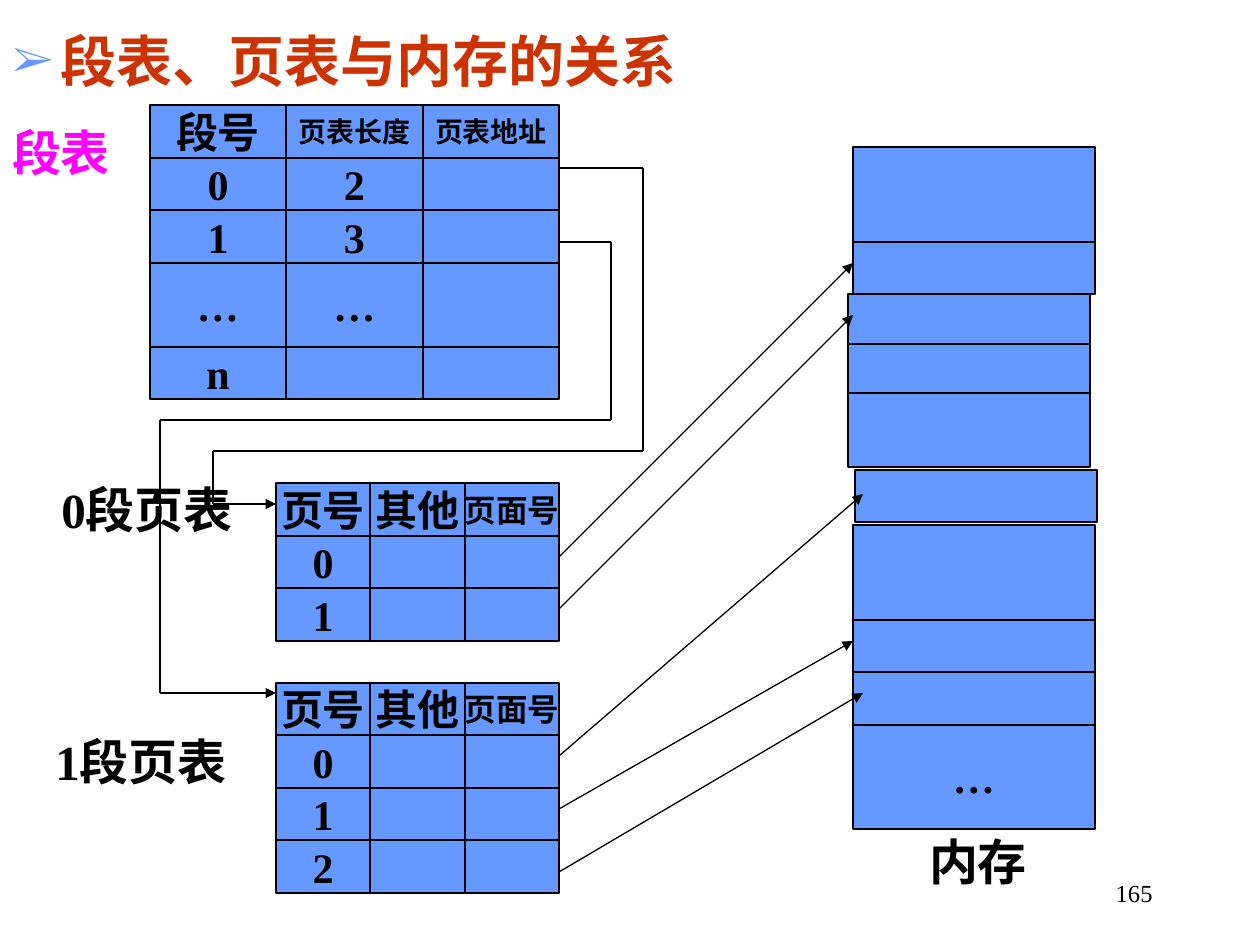
from dataclasses import dataclass
from itertools import accumulate, pairwise

from lxml import etree
from pptx import Presentation
from pptx.dml.color import RGBColor
from pptx.enum.shapes import MSO_CONNECTOR, MSO_SHAPE
from pptx.enum.text import MSO_ANCHOR, PP_ALIGN
from pptx.oxml.ns import qn
from pptx.util import Pt

RECTANGLE = MSO_SHAPE.RECTANGLE
STRAIGHT = MSO_CONNECTOR.STRAIGHT
LEFT, CENTER, RIGHT = PP_ALIGN.LEFT, PP_ALIGN.CENTER, PP_ALIGN.RIGHT
TOP, MIDDLE = MSO_ANCHOR.TOP, MSO_ANCHOR.MIDDLE


@dataclass(frozen=True)
class Theme:
    font: str = "Times New Roman"
    ink: str = "000000"
    cell: str = "6699FF"
    title: str = "CC3300"
    accent: str = "FF00FF"
    title_size: int = 32
    label_size: int = 28
    cell_size: int = 24
    page_frame_size: int = 18
    segment_field_size: int = 16
    number_size: int = 14
    line_width: float = 0.75


THEME = Theme()


def px(length):
    return round(length * 914400 / 126)


def color(value):
    return RGBColor.from_string(value)


def write(shape, text, size, ink=THEME.ink, align=CENTER, bold=True):
    paragraph = shape.text_frame.paragraphs[0]
    paragraph.alignment = align
    run = paragraph.add_run()
    run.text = text
    run.font.name = THEME.font
    run.font.size = Pt(size)
    run.font.bold = bold
    run.font.color.rgb = color(ink)
    return paragraph


def add_text_box(slide, box, anchor=TOP):
    shape = slide.shapes.add_textbox(*map(px, box))
    shape.text_frame.word_wrap = True
    shape.text_frame.vertical_anchor = anchor
    return shape


def add_label(slide, box, text, ink=THEME.ink):
    shape = add_text_box(slide, box)
    shape.text_frame.margin_left = 0
    shape.text_frame.margin_right = 0
    write(shape, text, THEME.label_size, ink)


def add_title(slide, box, text):
    shape = add_text_box(slide, box)
    paragraph = write(shape, text, THEME.title_size, THEME.title, LEFT)
    paragraph.line_spacing = 1.3
    properties = paragraph._p.get_or_add_pPr()
    properties.set("marL", str(px(48)))
    properties.set("indent", str(px(-48)))
    bullet_color = etree.SubElement(properties, qn("a:buClr"))
    etree.SubElement(bullet_color, qn("a:srgbClr"), val=THEME.cell)
    etree.SubElement(properties, qn("a:buSzPct"), val="80000")
    etree.SubElement(properties, qn("a:buFont"), typeface=THEME.font)
    etree.SubElement(properties, qn("a:buChar"), char="➢")


def add_page_number(slide, box, text):
    shape = add_text_box(slide, box, MIDDLE)
    write(shape, text, THEME.number_size, align=RIGHT, bold=False)


def add_cell(slide, box, text="", size=THEME.cell_size):
    shape = slide.shapes.add_shape(RECTANGLE, *map(px, box))
    shape.shadow.inherit = False
    shape.fill.solid()
    shape.fill.fore_color.rgb = color(THEME.cell)
    shape.line.color.rgb = color(THEME.ink)
    shape.line.width = Pt(THEME.line_width)
    shape.text_frame.word_wrap = False
    shape.text_frame.vertical_anchor = MIDDLE
    if text:
        write(shape, text, size)


def add_grid(slide, origin, widths, heights, rows, header_sizes):
    left, top = origin
    lefts = list(accumulate(widths, initial=left))
    tops = list(accumulate(heights, initial=top))
    for row, texts in enumerate(rows):
        for column, text in enumerate(texts):
            size = header_sizes[column] if row == 0 else THEME.cell_size
            box = (lefts[column], tops[row], widths[column], heights[row])
            add_cell(slide, box, text, size)


def add_segment_table(slide, origin):
    rows = [("段号", "页表长度", "页表地址"), ("0", "2", ""), ("1", "3", ""),
            ("…", "…", ""), ("n", "", "")]
    sizes = (THEME.cell_size, THEME.segment_field_size, THEME.segment_field_size)
    add_grid(slide, origin, (136, 137, 136), (53, 52, 53, 84, 52), rows, sizes)


def add_page_table(slide, origin, heights):
    rows = [("页号", "其他", "页面号")]
    rows += [(str(page), "", "") for page in range(len(heights) - 1)]
    sizes = (THEME.cell_size, THEME.cell_size, THEME.page_frame_size)
    add_grid(slide, origin, (94, 95, 94), heights, rows, sizes)


def add_memory(slide, origin):
    left, top = origin
    blocks = [(5, 0, 95), (5, 95, 52), (0, 147, 50), (0, 197, 49), (0, 246, 74),
              (7, 323, 52), (5, 378, 95), (5, 473, 52), (5, 525, 53)]
    for shift, drop, height in blocks:
        add_cell(slide, (left + shift, top + drop, 242, height))
    add_cell(slide, (left + 5, top + 578, 242, 104), "…")
    add_label(slide, (left + 69, top + 678, 122, 72), "内存")


def add_line(slide, start, end, arrow):
    connector = slide.shapes.add_connector(STRAIGHT, *map(px, start + end))
    connector.line.color.rgb = color(THEME.ink)
    connector.line.width = Pt(THEME.line_width)
    if arrow:
        line = connector.line._get_or_add_ln()
        etree.SubElement(line, qn("a:tailEnd"), type="triangle")
    etree.SubElement(connector._element.spPr, qn("a:effectLst"))


def add_route(slide, points):
    for start, end in pairwise(points):
        add_line(slide, start, end, end == points[-1])


def add_links(slide):
    routes = [
        [(559, 872), (863, 693)],
        [(559, 809), (853, 641)],
        [(559, 756), (863, 494)],
        [(559, 609), (853, 315)],
        [(559, 557), (853, 263)],
        [(559, 242), (611, 242), (611, 420), (160, 420), (160, 693), (276, 693)],
        [(559, 168), (643, 168), (643, 451), (213, 451), (213, 504), (276, 504)],
    ]
    for points in routes:
        add_route(slide, points)


def build_slide(presentation):
    slide = presentation.slides.add_slide(presentation.slide_layouts[6])
    add_page_number(slide, (903, 861, 262, 63), "165")
    add_title(slide, (0, 0, 693, 95), "段表、页表与内存的关系")
    add_segment_table(slide, (150, 105))
    add_page_table(slide, (276, 483), (53, 52, 53))
    add_page_table(slide, (276, 683), (52, 53, 52, 53))
    add_memory(slide, (848, 147))
    add_label(slide, (32, 725, 218, 72), "1段页表")
    add_label(slide, (42, 473, 210, 72), "0段页表")
    add_label(slide, (0, 116, 122, 72), "段表", THEME.accent)
    add_links(slide)


def main():
    presentation = Presentation()
    presentation.slide_width = px(1260)
    presentation.slide_height = px(945)
    build_slide(presentation)
    presentation.save("out.pptx")


if __name__ == "__main__":
    main()
